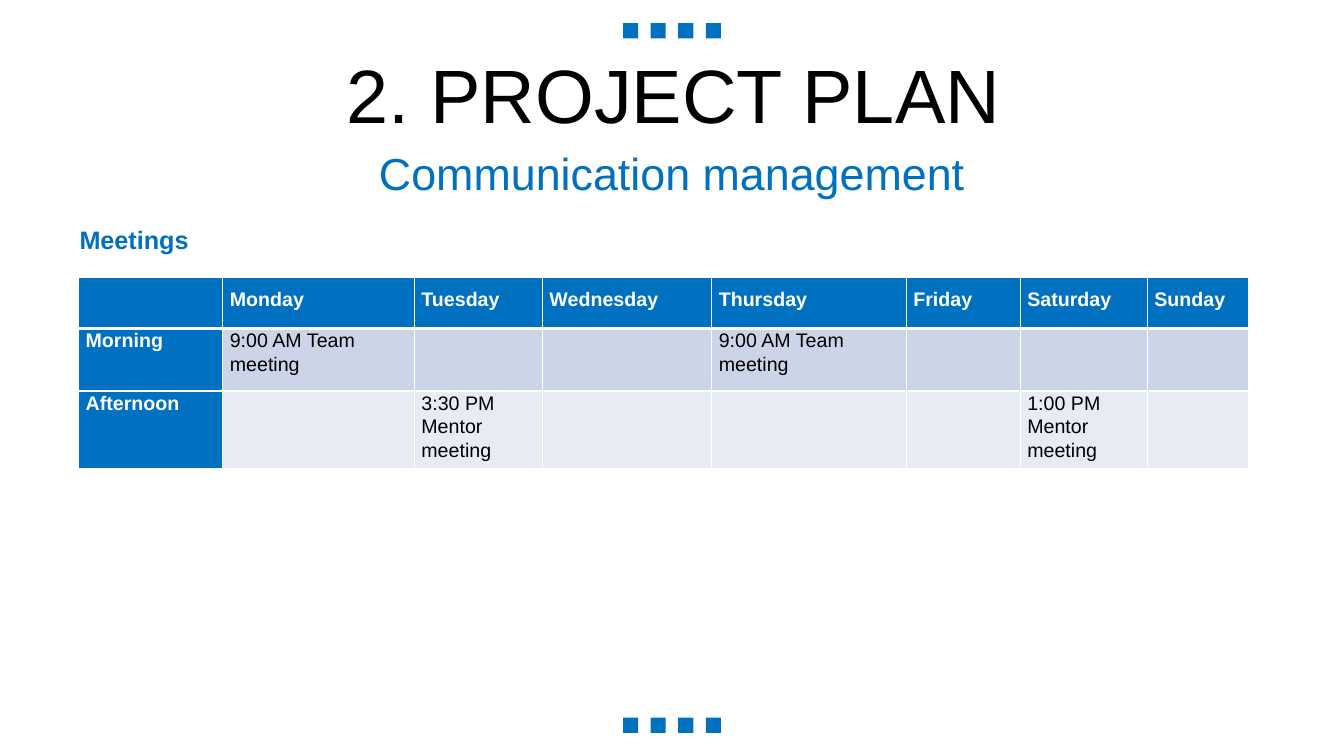
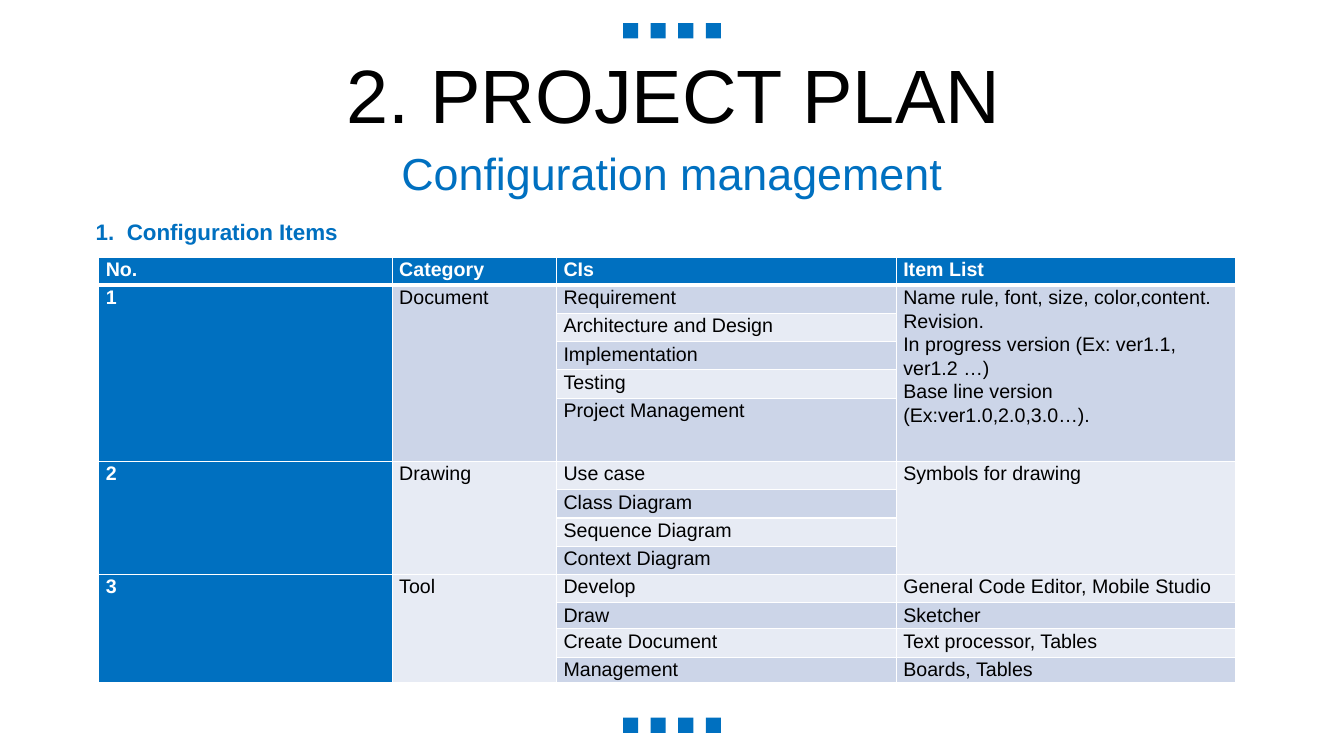
from lxml import etree
from pptx import Presentation
from pptx.dml.color import RGBColor
from pptx.enum import shapes, text
from pptx.oxml import ns
from pptx.util import Inches, Pt

BLUE, WHITE, BLACK = "0070C0", "FFFFFF", "000000"
BANDS = ["E7EBF4", "CCD5E8"]  # even rows, odd rows


def style(para, size, color, bold=False):
    for run in para.runs:
        run.font.name = "Arial"
        run.font.size = Pt(size)
        run.font.bold = bold
        run.font.color.rgb = RGBColor.from_string(color)


def grid(slide, left, top, widths, heights, rows, head=1.07):
    """Add a banded table with a blue header row and first column."""
    table = slide.shapes.add_table(
        len(rows), len(widths), Inches(left), Inches(top),
        Inches(sum(widths)), Inches(sum(heights))).table
    for col, width in zip(table.columns, widths):
        col.width = Inches(width)
    for row, height in zip(table.rows, heights):
        row.height = Inches(height)
    for r, row in enumerate(rows):
        for c, words in enumerate(row):
            cell = table.cell(r, c)
            label = r == 0 or c == 0
            cell.margin_left = cell.margin_right = Inches(0.07)
            cell.margin_top = cell.margin_bottom = 0
            cell.fill.solid()
            cell.fill.fore_color.rgb = RGBColor.from_string(
                BLUE if label else BANDS[r % 2])
            cell.text_frame.text = words
            for para in cell.text_frame.paragraphs:
                para.line_spacing = head if r == 0 else 1.07
                style(para, 14, WHITE if label else BLACK, label)
                if not words:
                    para._p.get_or_add_endParaRPr().set("sz", "1400")
            # White borders, heavier under the header
            props = cell._tc.get_or_add_tcPr()
            for i, side in enumerate("LRTB"):
                thick = (r, side) in [(0, "B"), (1, "T")]
                line = etree.Element(ns.qn("a:ln" + side),
                                     w=str(Pt(3 if thick else 1)))
                fill = etree.SubElement(line, ns.qn("a:solidFill"))
                etree.SubElement(fill, ns.qn("a:srgbClr"), val=WHITE)
                props.insert(i, line)
    return table


prs = Presentation()
prs.slide_width, prs.slide_height = Inches(13.33), Inches(7.5)

# Shared frame: squares, title, subtitle and heading
heads = []
for topic, name, place in [
        ("Communication management", "Meetings", (0.69, 2.18, 3.68, 0.4)),
        ("Configuration management", "Configuration Items",
         (0.35, 2.1, 3.14, 0.37))]:
    slide = prs.slides.add_slide(prs.slide_layouts[5])
    for top in (0.23, 7.12):
        for i in range(4):
            box = slide.shapes.add_shape(
                shapes.MSO_SHAPE.RECTANGLE, Inches(6.18 + i * 0.82 / 3),
                Inches(top), Inches(0.15), Inches(0.15))
            box.shadow.inherit = False
            box.fill.solid()
            box.fill.fore_color.rgb = RGBColor.from_string(BLUE)
            box.line.fill.background()

    title = slide.shapes.title
    title.left, title.top = Inches(0.35), Inches(0.59)
    title.width, title.height = Inches(12.66), Inches(0.79)
    sub = slide.shapes.add_textbox(
        Inches(3.6), Inches(1.39), Inches(6.13), Inches(0.64))
    for shape, words, size, color in [
            (title, "2. PROJECT PLAN", 54, BLACK), (sub, topic, 32, BLUE)]:
        frame = shape.text_frame
        frame.text = words
        frame.word_wrap = True
        frame.auto_size = text.MSO_AUTO_SIZE.NONE
        frame.vertical_anchor = text.MSO_ANCHOR.MIDDLE
        frame.paragraphs[0].alignment = text.PP_ALIGN.CENTER
        style(frame.paragraphs[0], size, color)
    title.text_frame.paragraphs[0].line_spacing = 0.9

    head = slide.shapes.add_textbox(*map(Inches, place))
    head.text_frame.text = name
    head.text_frame.word_wrap = True
    heads.append(head.text_frame.paragraphs[0])
first, second = prs.slides

# Meetings
style(heads[0], 18, BLUE, True)
grid(first, 0.78, 2.75, [1.43, 1.9, 1.27, 1.68, 1.93, 1.13, 1.26, 1],
     [0.51, 0.62, 0.77], [
    ["", "Monday", "Tuesday", "Wednesday", "Thursday", "Friday",
     "Saturday", "Sunday"],
    ["Morning", "9:00 AM Team meeting", "", "", "9:00 AM Team meeting",
     "", "", ""],
    ["Afternoon", "", "3:30 PM Mentor meeting", "", "", "",
     "1:00 PM Mentor meeting", ""],
], head=1.5)

# Numbered heading
item = heads[1]
item.line_spacing = 1.07
item.space_after = Pt(8)
props = item._p.get_or_add_pPr()
props.set("marL", str(Inches(0.81)))
props.set("indent", str(Inches(-0.31)))
tint = etree.SubElement(props, ns.qn("a:buClr"))
etree.SubElement(tint, ns.qn("a:srgbClr"), val=BLUE)
etree.SubElement(props, ns.qn("a:buFont"), typeface="Arial")
etree.SubElement(props, ns.qn("a:buAutoNum"), type="arabicPeriod")
style(item, 16, BLUE, True)

# Configuration items
rules = "\n".join([
    "Name rule, font, size, color,content.",
    "Revision.",
    "In progress version (Ex: ver1.1, ver1.2 …)",
    "Base line version (Ex:ver1.0,2.0,3.0…).",
])
low = 0.28
table = grid(second, 0.98, 2.55, [2.91, 1.63, 3.37, 3.37],
             [low] * 5 + [0.63] + [low] * 5 + [0.26, low, 0.25], [
    ["No.", "Category", "CIs", "Item List"],
    ["1", "Document", "Requirement", rules],
    ["", "", "Architecture and Design", ""],
    ["", "", "Implementation", ""],
    ["", "", "Testing", ""],
    ["", "", "Project Management", ""],
    ["2", "Drawing", "Use case", "Symbols for drawing"],
    ["", "", "Class Diagram", ""],
    ["", "", "Sequence Diagram", ""],
    ["", "", "Context Diagram", ""],
    ["3", "Tool", "Develop", "General Code Editor, Mobile Studio"],
    ["", "", "Draw", "Sketcher"],
    ["", "", "Create Document", "Text processor, Tables"],
    ["", "", "Management", "Boards, Tables"],
])
for start, end, cols in [(1, 5, (0, 1, 3)), (6, 9, (0, 1, 3)),
                         (10, 13, (0, 1))]:
    for c in cols:
        table.cell(start, c).merge(table.cell(end, c))

prs.save("out.pptx")
